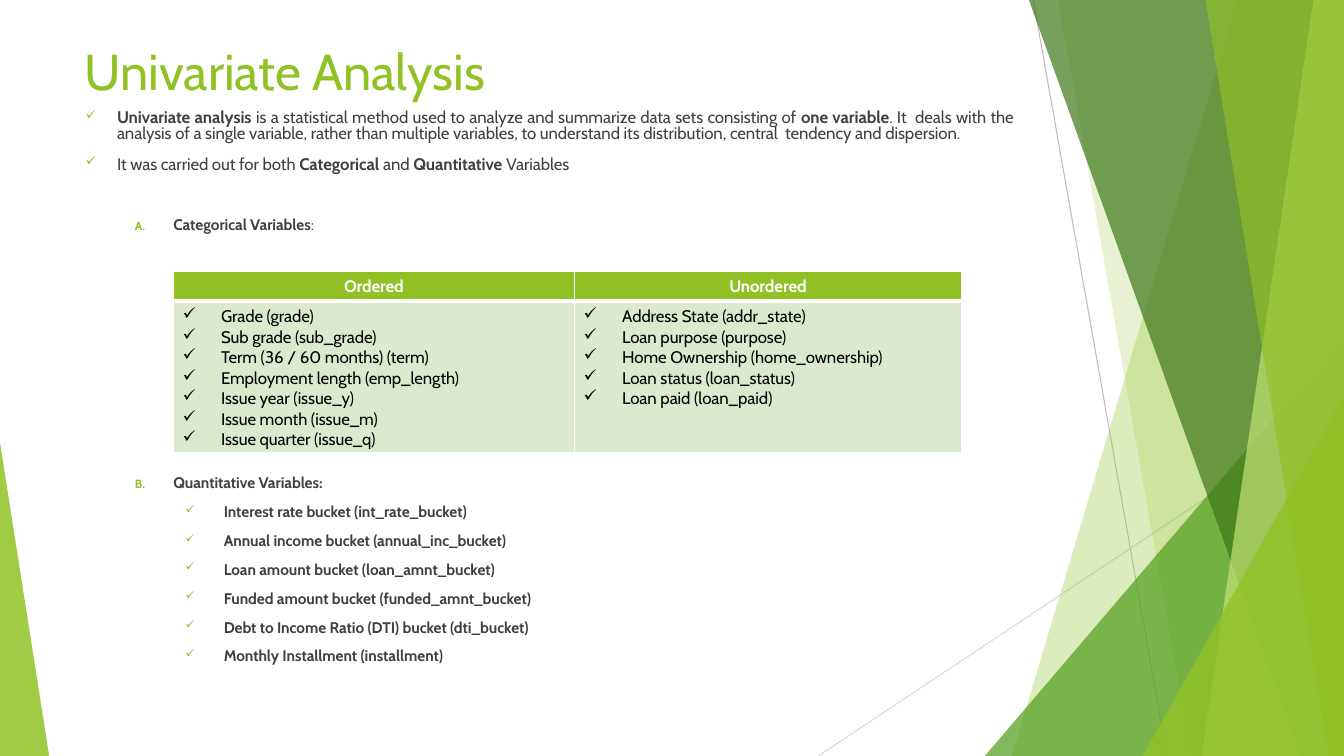
from lxml import etree
from pptx import Presentation
from pptx import util as u
from pptx.dml.color import RGBColor
from pptx.enum import shapes, text
from pptx.oxml import ns

GREEN = RGBColor(0x90, 0xC2, 0x25)
LEAF = RGBColor(0x53, 0x9F, 0x20)
FOREST = RGBColor(0x3E, 0x78, 0x18)
LIME = RGBColor(0xC0, 0xE3, 0x74)
PALE = RGBColor(0xDB, 0xE9, 0xCD)
DARK = RGBColor(0x40, 0x40, 0x40)
BLACK = RGBColor(0, 0, 0)
WHITE = RGBColor(0xFF, 0xFF, 0xFF)
GREY = RGBColor(0xBE, 0xBE, 0xBE)
LIGHT_GREY = RGBColor(0xD9, 0xD9, 0xD9)
W, H = 33.87, 19.05


def sub(parent, tag, **attrs):
    return etree.SubElement(parent, ns.qn(tag), {k: str(v) for k, v in attrs.items()})


def write(tf, content, size=12, color=DARK, align=text.PP_ALIGN.LEFT, before=0, line=None,
          left=0, hang=0, bullet=None, start=None, bullet_pct=100, bullet_color=GREEN, spc=-5):
    """Add a paragraph; parts between ** are bold."""
    p = tf.paragraphs[0]
    if p.runs:
        p = tf.add_paragraph()
    p.alignment = align
    p.space_before = u.Pt(before)
    if line:
        p.line_spacing = u.Pt(line)
    pPr = p._p.get_or_add_pPr()
    pPr.set("marL", str(u.Cm(left)))
    pPr.set("indent", str(-u.Cm(hang)))
    if bullet or start:
        sub(sub(pPr, "a:buClr"), "a:srgbClr", val=bullet_color)
        sub(pPr, "a:buSzPct", val=bullet_pct * 1000)
        if bullet:
            sub(pPr, "a:buChar", char=bullet)
        else:
            sub(pPr, "a:buAutoNum", type="alphaUcPeriod", startAt=start)
    for i, part in enumerate(content.split("**")):
        if part:
            r = p.add_run()
            r.text = part
            r.font.name = "Cabin"
            r.font.size = u.Pt(size)
            r.font.bold = i % 2 == 1
            r.font.color.rgb = color
            r._r.get_or_add_rPr().set("spc", str(spc))


prs = Presentation()
prs.slide_width, prs.slide_height = u.Cm(W), u.Cm(H)
s = prs.slides.add_slide(prs.slide_layouts[6])

# Thin background lines
for x1, y1, x2, y2, color in [(26.04, 0, 29.41, H, GREY), (W, 10.24, 20.62, H, LIGHT_GREY)]:
    cn = s.shapes.add_connector(shapes.MSO_CONNECTOR.STRAIGHT,
                                u.Cm(x1), u.Cm(y1), u.Cm(x2), u.Cm(y2))
    cn.line.color.rgb = color
    cn.line.width = u.Pt(0.75)
    sub(cn._element.spPr, "a:effectLst")

# Translucent facets: side edge, top x, top y, bottom x, colour, opacity
facets = [
    (W, 31.19, 0, 25.5, GREEN, 30),
    (W, 26.67, 0, 30.02, GREEN, 20),
    (W, W, 8.46, 24.82, LEAF, 72),
    (W, 25.93, 0, 32.79, FOREST, 70),
    (W, 33.1, 0, 30.28, LIME, 70),
    (W, 30.38, 0, 33.48, GREEN, 65),
    (W, W, 9.98, 28.8, GREEN, 80),
    (0, 0, 11.15, 1.24, GREEN, 85),
]
for edge, top_x, top_y, bottom_x, color, opacity in facets:
    fb = s.shapes.build_freeform(u.Cm(edge), u.Cm(top_y))
    fb.add_line_segments([(u.Cm(top_x), u.Cm(top_y)), (u.Cm(bottom_x), u.Cm(H)),
                          (u.Cm(edge), u.Cm(H))], close=True)
    sp = fb.convert_to_shape()
    sp.shadow.inherit = False
    sp.line.fill.background()
    sp.fill.solid()
    sp.fill.fore_color.rgb = color
    sub(sp._element.spPr.find(".//" + ns.qn("a:srgbClr")), "a:alpha", val=opacity * 1000)

# Text boxes: title, introduction, quantitative list
frames = []
for x, y, w, h, inset in [(2.11, 0.97, 10.77, 1.6, 0.03), (2.11, 2.67, 23.44, 3.63, 0.13),
                          (3.38, 11.63, 10.87, 5.16, 0.3)]:
    tf = s.shapes.add_textbox(u.Cm(x), u.Cm(y), u.Cm(w), u.Cm(h)).text_frame
    tf.word_wrap = True
    tf.margin_left = tf.margin_right = tf.margin_bottom = 0
    tf.margin_top = u.Cm(inset)
    frames.append(tf)
title, intro, quantitative = frames

write(title, "Univariate Analysis", size=36, color=GREEN, before=1, left=0.03, spc=0)

check = dict(bullet="✓", left=0.84, hang=0.79, bullet_pct=79)
write(intro, "**Univariate analysis **is a statistical method used to analyze and summarize data sets "
      "consisting of **one variable**. It  deals with the analysis of a single variable, rather than "
      "multiple variables, to understand its distribution, central  tendency and dispersion.",
      align=text.PP_ALIGN.JUSTIFY, line=11.5, before=3.8, **check)
write(intro, "It was carried out for both **Categorical **and **Quantitative **Variables",
      before=7.2, **check)
write(intro, "**Categorical Variables**:", size=11, before=30, left=2.26, hang=0.97,
      start=1, bullet_pct=77)

write(quantitative, "**Quantitative Variables:**", size=11, before=8.3, left=0.99, hang=0.97,
      start=2, bullet_pct=77)
for item in ["Interest rate bucket (int_rate_bucket)", "Annual income bucket (annual_inc_bucket)",
             "Loan amount bucket (loan_amnt_bucket)", "Funded amount bucket (funded_amnt_bucket)",
             "Debt to Income Ratio (DTI) bucket (dti_bucket)", "Monthly Installment (installment)"]:
    write(quantitative, f"**{item}**", size=11, before=7.4, left=2.26, hang=0.97,
          bullet="✓", bullet_pct=77)

# Table of categorical variables
categories = {
    "Ordered": ["Grade (grade)", "Sub grade (sub_grade)", "Term (36 / 60 months) (term)",
                "Employment length (emp_length)", "Issue year (issue_y)",
                "Issue month (issue_m)", "Issue quarter (issue_q)"],
    "Unordered": ["Address State (addr_state)", "Loan purpose (purpose)",
                  "Home Ownership (home_ownership)", "Loan status (loan_status)",
                  "Loan paid (loan_paid)"],
}
table = s.shapes.add_table(2, 2, u.Cm(4.37), u.Cm(6.83), u.Cm(19.86), u.Cm(4.57)).table
for col, width in zip(table.columns, (10.11, 9.75)):
    col.width = u.Cm(width)
for row, height in zip(table.rows, (0.76, 3.81)):
    row.height = u.Cm(height)

for c, (heading, items) in enumerate(categories.items()):
    head, body = table.cell(0, c), table.cell(1, c)
    write(head.text_frame, f"**{heading}**", color=WHITE, align=text.PP_ALIGN.CENTER, before=3.2)
    for i, item in enumerate(items):
        write(body.text_frame, item, color=BLACK, before=0 if i else 3.3, left=1.2, hang=0.97,
              bullet="✓", bullet_color=BLACK)
    for cell, fill, thick in [(head, GREEN, "B"), (body, PALE, "T")]:
        cell.margin_left = cell.margin_right = cell.margin_bottom = 0
        cell.margin_top = u.Cm(0.13)
        tcPr = cell._tc.get_or_add_tcPr()
        for side in "LRTB":
            ln = sub(tcPr, f"a:ln{side}", w=u.Pt(3 if side == thick else 1))
            sub(sub(ln, "a:solidFill"), "a:srgbClr", val=WHITE)
        cell.fill.solid()
        cell.fill.fore_color.rgb = fill

prs.save("out.pptx")
